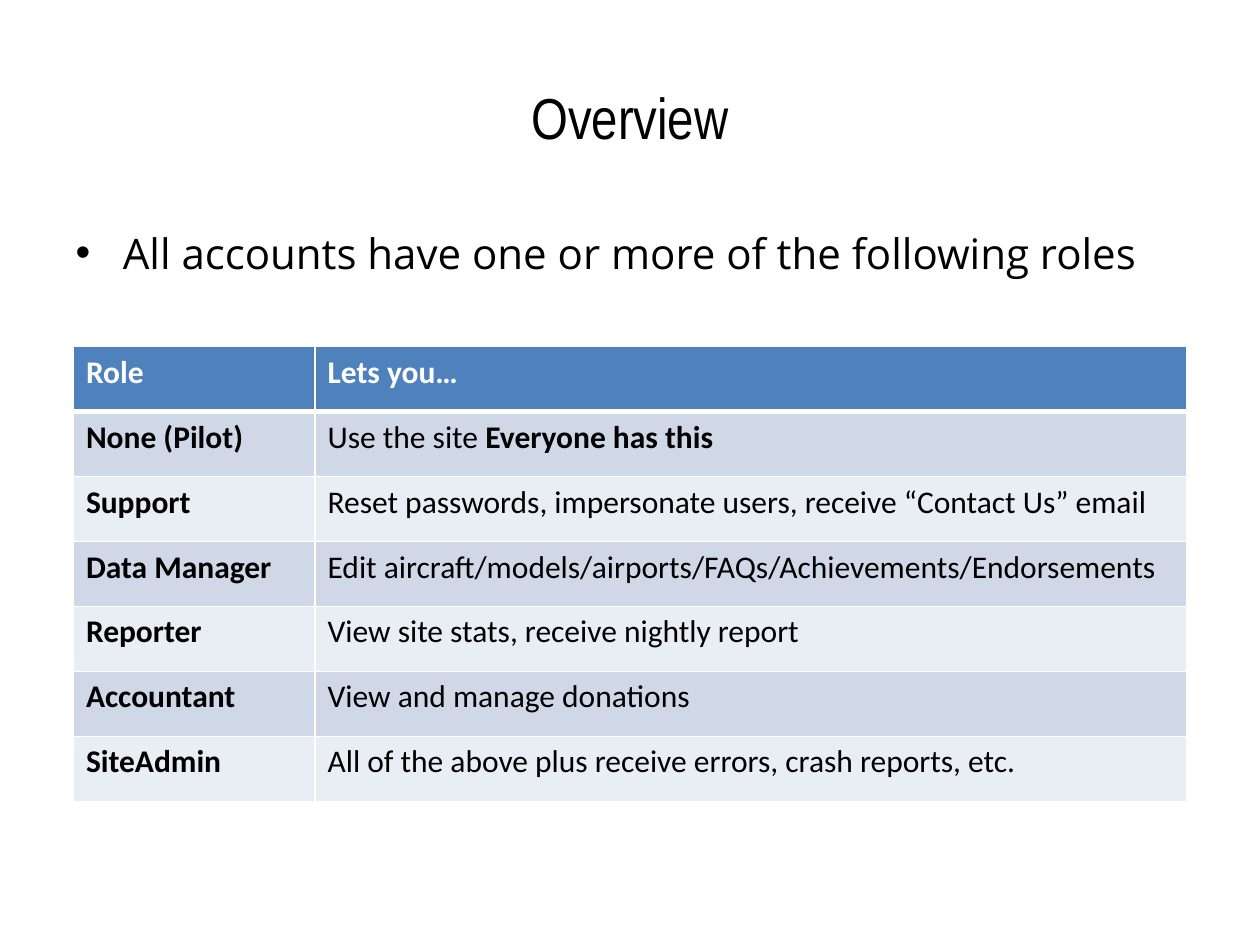
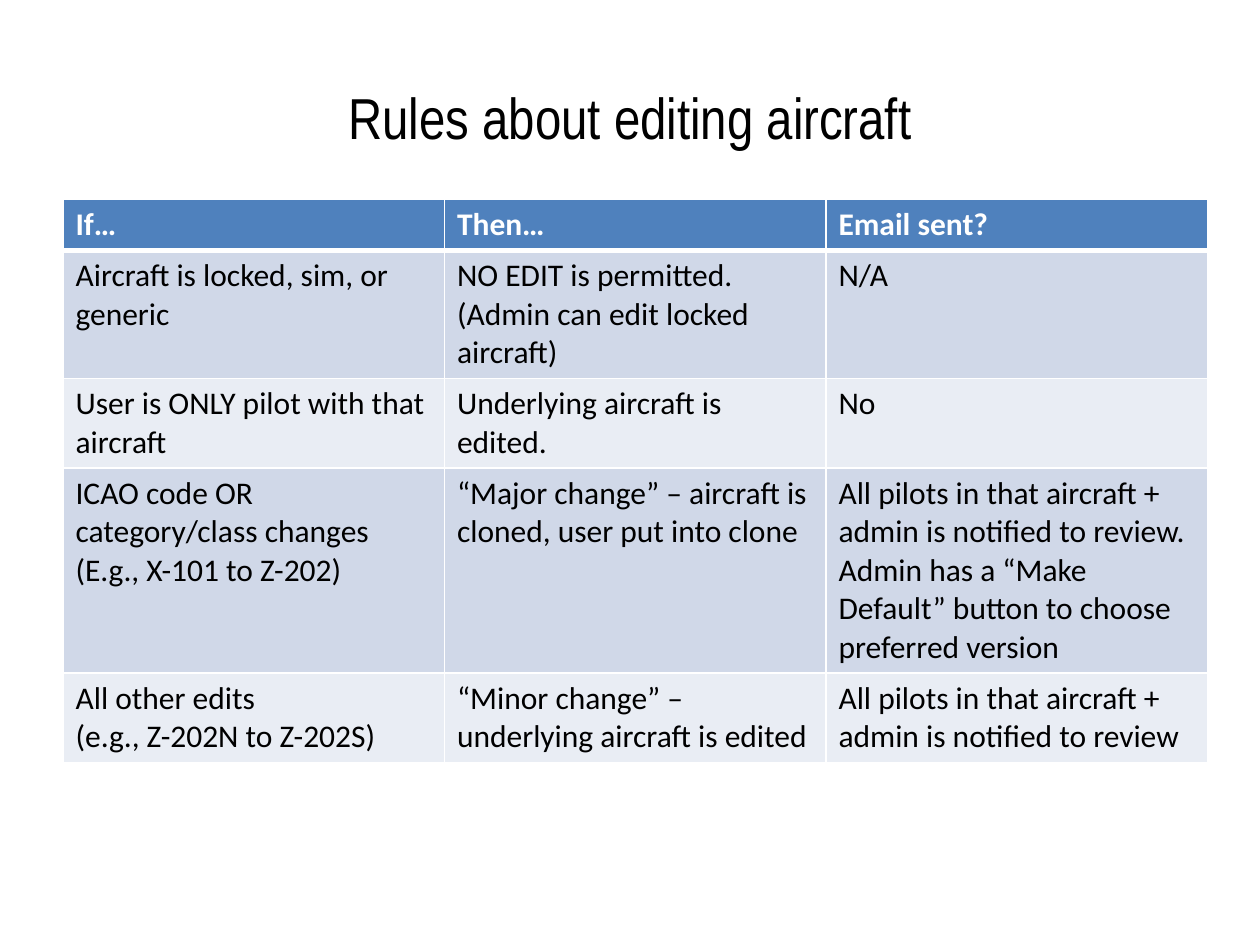
"""Build two slides on account roles and the rules for editing aircraft."""
from dataclasses import dataclass

from lxml.etree import SubElement
from pptx import Presentation
from pptx.dml.color import RGBColor
from pptx.enum.text import MSO_ANCHOR as Anchor, MSO_AUTO_SIZE as AutoSize, PP_ALIGN as Align
from pptx.oxml.ns import qn
from pptx.util import Cm, Pt

BLACK = RGBColor(0x00, 0x00, 0x00)
WHITE = RGBColor(0xFF, 0xFF, 0xFF)
BLUE = RGBColor(0x4F, 0x81, 0xBD)
BAND_DARK = RGBColor(0xD0, 0xD8, 0xE8)
BAND_LIGHT = RGBColor(0xE9, 0xED, 0xF4)

TITLE_FONT = {"name": "Arial Narrow", "size": Pt(33), "bold": False}
BODY_FONT = {"name": "Open Sans", "size": Pt(24), "bold": False}
CELL_FONT = {"name": "Calibri", "size": Pt(18)}
TITLE_BOX = {"left": Cm(1.27), "top": Cm(0.76), "width": Cm(22.86), "height": Cm(3.18)}
BODY_BOX = {"left": Cm(1.27), "top": Cm(4.45), "width": Cm(22.86), "height": Cm(12.57)}
BULLET_INDENT = Cm(0.71)
TITLE_AND_CONTENT, TITLE_ONLY = 1, 5


@dataclass
class Grid:
    """A banded table; a bar in a cell starts bold text, a line break a paragraph."""
    left: float
    top: float
    cols: list[float]
    heights: list[float]
    rows: list[tuple[str, ...]]


@dataclass
class Page:
    """One slide: its title, its table and an optional bullet."""
    title: str
    grid: Grid
    bullet: str = ""


ROLES = Grid(1.48, 6.99, [4.87, 17.57], [1.31] * 7, [
    ("|Role", "|Lets you…"),
    ("|None (Pilot)", "Use the site |Everyone has this"),
    ("|Support", "Reset passwords, impersonate users, receive “Contact Us” email"),
    ("|Data Manager", "Edit aircraft/models/airports/FAQs/Achievements/Endorsements"),
    ("|Reporter", "View site stats, receive nightly report"),
    ("|Accountant", "View and manage donations"),
    ("|SiteAdmin", "All of the above plus receive errors, crash reports, etc."),
])

EDIT_RULES = Grid(1.27, 4.02, [7.69] * 3, [0.84, 2.11, 1.45, 3.56, 1.63], [
    ("|If…", "|Then…", "|Email sent?"),
    ("Aircraft is locked, sim, or generic",
     "NO EDIT is permitted. (Admin can edit locked aircraft)", "N/A"),
    ("User is ONLY pilot with that aircraft", "Underlying aircraft is edited.", "No"),
    ("ICAO code OR category/class changes\n(E.g., X-101 to Z-202)",
     "“Major change” – aircraft is cloned, user put into clone",
     "All pilots in that aircraft + admin is notified to review. "
     "Admin has a “Make Default” button to choose preferred version"),
    ("All other edits\n(e.g., Z-202N to Z-202S)",
     "“Minor change” – underlying aircraft is edited",
     "All pilots in that aircraft + admin is notified to review"),
])

PAGES = [
    Page("Overview", ROLES, "All accounts have one or more of the following roles"),
    Page("Rules about editing aircraft", EDIT_RULES),
]


def set_attrs(obj, values: dict) -> None:
    """Set every attribute named in values."""
    for name, value in values.items():
        setattr(obj, name, value)


def add_run(p, text: str, font: dict, color: RGBColor) -> None:
    """Append a formatted run to a paragraph."""
    r = p.add_run()
    r.text = text
    set_attrs(r.font, font)
    r.font.color.rgb = color


def fill_placeholder(sp, text: str, box: dict, font: dict):
    """Place a placeholder, write its text and return the paragraph."""
    set_attrs(sp, box)
    tf = sp.text_frame
    set_attrs(tf, {"word_wrap": True, "auto_size": AutoSize.NONE})
    p = tf.paragraphs[0]
    add_run(p, text, font, BLACK)
    return p


def add_border(tc_pr, side: str, width: float) -> None:
    """Add a white line on one side of a cell."""
    ln = SubElement(tc_pr, qn(f"a:ln{side}"), w=str(Pt(width)))
    SubElement(SubElement(ln, qn("a:solidFill")), qn("a:srgbClr"), val=str(WHITE))


def format_cell(cell, text: str, row: int) -> None:
    """Write a cell and give it the borders, fill and colour of its row."""
    tc_pr = cell._tc.get_or_add_tcPr()
    for side in "LRTB":
        thick = (row, side) in {(0, "B"), (1, "T")}
        add_border(tc_pr, side, 3 if thick else 1)
    cell.fill.solid()
    band = BAND_DARK if row % 2 else BAND_LIGHT
    cell.fill.fore_color.rgb = band if row else BLUE
    tf = cell.text_frame
    for i, line in enumerate(text.split("\n")):
        p = tf.add_paragraph() if i else tf.paragraphs[0]
        for bold, part in zip((False, True), line.split("|")):
            if part:
                add_run(p, part, CELL_FONT | {"bold": bold}, BLACK if row else WHITE)


def add_grid(slide, grid: Grid) -> None:
    """Draw a table on a slide."""
    size = Cm(sum(grid.cols)), Cm(sum(grid.heights))
    table = slide.shapes.add_table(len(grid.rows), len(grid.cols),
                                   Cm(grid.left), Cm(grid.top), *size).table
    for col, width in zip(table.columns, grid.cols):
        col.width = Cm(width)
    for row, height in zip(table.rows, grid.heights):
        row.height = Cm(height)
    for i, texts in enumerate(grid.rows):
        for j, text in enumerate(texts):
            format_cell(table.cell(i, j), text, i)


def add_page(prs, page: Page) -> None:
    """Add one slide with its title, bullet and table."""
    layout = TITLE_AND_CONTENT if page.bullet else TITLE_ONLY
    slide = prs.slides.add_slide(prs.slide_layouts[layout])
    title = slide.shapes.title
    fill_placeholder(title, page.title, TITLE_BOX, TITLE_FONT).alignment = Align.CENTER
    title.text_frame.vertical_anchor = Anchor.MIDDLE
    if page.bullet:
        p = fill_placeholder(slide.placeholders[1], page.bullet, BODY_BOX, BODY_FONT)
        set_attrs(p._p.get_or_add_pPr(), {"marL": BULLET_INDENT, "indent": -BULLET_INDENT})
    add_grid(slide, page.grid)


def main() -> None:
    """Build and save the presentation."""
    prs = Presentation()
    set_attrs(prs, {"slide_width": Cm(25.4), "slide_height": Cm(19.05)})
    for page in PAGES:
        add_page(prs, page)
    prs.save("out.pptx")


if __name__ == "__main__":
    main()
